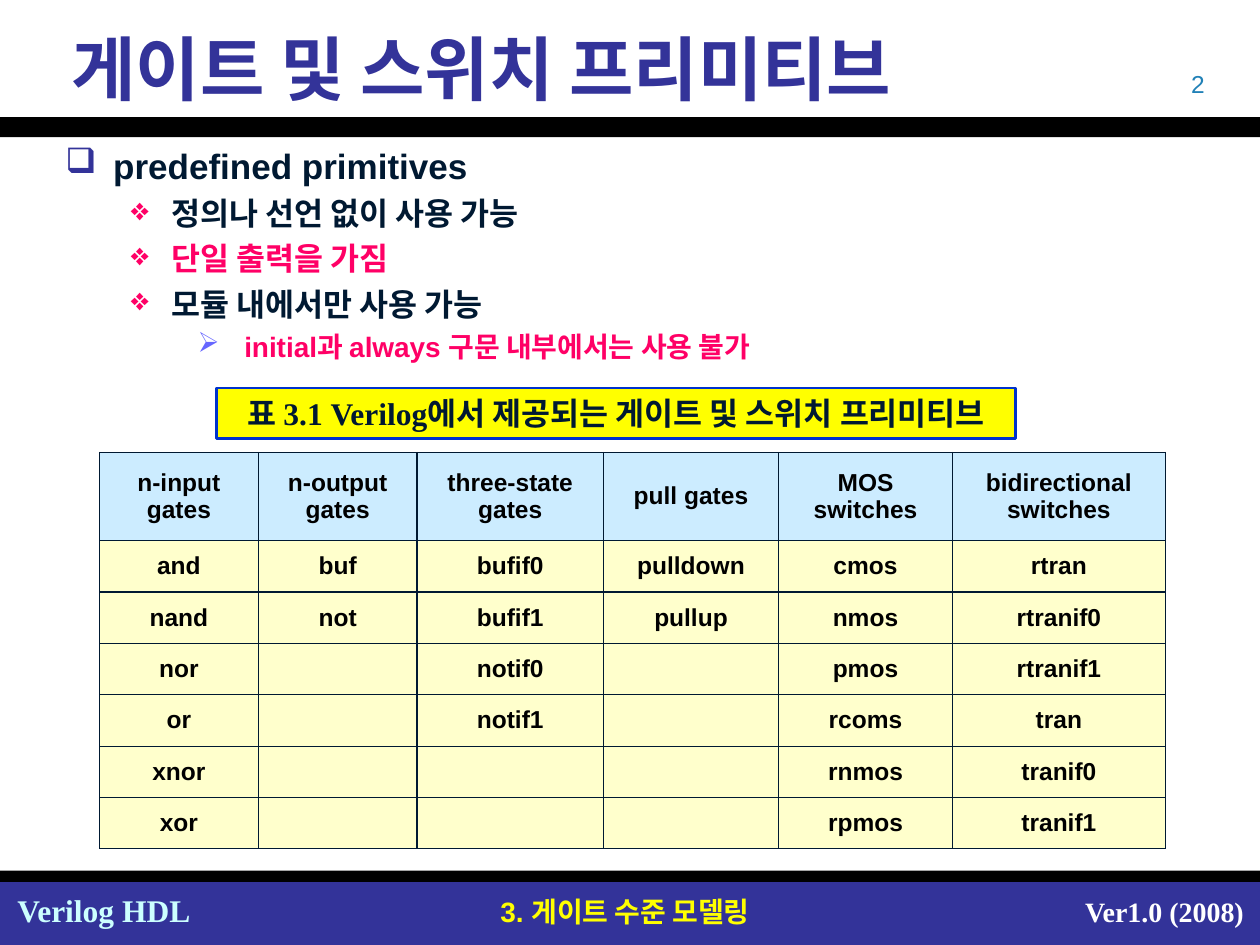
import pptx
import pptx.dml.color
import pptx.enum.shapes
import pptx.enum.text
import pptx.oxml
import pptx.oxml.ns
import pptx.util

# The slide is a grid of 100 columns by 75 rows
WIDTH, HEIGHT = pptx.util.Inches(10), pptx.util.Inches(7.5)
COL, ROW = WIDTH / 100, HEIGHT / 75
SANS, SERIF = "Arial", "Times New Roman"
ALIGN = pptx.enum.text.PP_ALIGN
MIDDLE = pptx.enum.text.MSO_ANCHOR.MIDDLE

COLORS = {
    "navy": "333399", "black": "000000", "white": "FFFFFF", "ink": "001932",
    "pink": "FF0066", "violet": "6666FF", "yellow": "FFFF00", "aqua": "CCFFFF",
    "teal": "2181B7", "edge": "0033CC", "head": "CCECFF", "cream": "FFFFCC",
}

# Bullet styles: mark, mark colour, left margin and hang in columns, size
LEVELS = [
    ("❑", "navy", 3.8, 3.8, 20),
    ("❖", "pink", 8.4, 3.2, 18),
    ("➢", "violet", 14.2, 3.7, 16),
]
POINTS = [
    (0, "predefined primitives", "ink"),
    (1, "정의나 선언 없이 사용 가능", "ink"),
    (1, "단일 출력을 가짐", "pink"),
    (1, "모듈 내에서만 사용 가능", "ink"),
    (2, "initial과 always 구문 내부에서는 사용 불가", "pink"),
]

# One list for each table column: width in grid columns, heading, entries
GATES = [
    (12.6, "n-input gates", ["and", "nand", "nor", "or", "xnor", "xor"]),
    (12.6, "n-output gates", ["buf", "not"]),
    (14.8, "three-state gates", ["bufif0", "bufif1", "notif0", "notif1"]),
    (13.9, "pull gates", ["pulldown", "pullup"]),
    (13.8, "MOS switches", ["cmos", "nmos", "pmos", "rcoms", "rnmos", "rpmos"]),
    (16.9, "bidirectional switches",
     ["rtran", "rtranif0", "rtranif1", "tran", "tranif0", "tranif1"]),
]


def color(name):
    return pptx.dml.color.RGBColor.from_string(COLORS[name])


def place(left, top, width, height):
    return [round(n) for n in (left * COL, top * ROW, width * COL, height * ROW)]


def style(para, size, font, tint, bold=True, align=ALIGN.LEFT):
    para.alignment = align
    for run in para.runs:
        run.font.size = pptx.util.Pt(size)
        run.font.name = font
        run.font.bold = bold
        run.font.color.rgb = color(tint)


def indent(para, margin, hang=0):
    props = para._p.get_or_add_pPr()
    props.set("marL", str(round(margin * COL)))
    props.set("indent", str(round(-hang * COL)))
    return props


def add_bar(slide, area, fill):
    bar = slide.shapes.add_shape(
        pptx.enum.shapes.MSO_SHAPE.RECTANGLE, *place(*area))
    bar.shadow.inherit = False
    bar.fill.solid()
    bar.fill.fore_color.rgb = color(fill)
    bar.line.fill.background()
    return bar


def add_text(slide, area, text, *look, **more):
    box = slide.shapes.add_textbox(*place(*area))
    frame = box.text_frame
    frame.word_wrap = True
    frame.text = text
    style(frame.paragraphs[0], *look, **more)
    return frame


def add_points(slide, area):
    frame = slide.shapes.add_textbox(*place(*area)).text_frame
    frame.word_wrap = True
    for num, (level, text, tint) in enumerate(POINTS):
        mark, hue, margin, hang, size = LEVELS[level]
        para = frame.add_paragraph() if num else frame.paragraphs[0]
        para.text = text
        para.level = level
        para.line_spacing = 1.2
        props = indent(para, margin, hang)
        space = pptx.oxml.ns.nsdecls("a")
        for xml in (
            f'<a:buClr {space}><a:srgbClr val="{COLORS[hue]}"/></a:buClr>',
            f'<a:buChar {space} char="{mark}"/>',
        ):
            props.append(pptx.oxml.parse_xml(xml))
        style(para, size, SANS, tint)


def add_label(slide, area, text):
    label = add_bar(slide, area, "yellow")
    label.line.color.rgb = color("edge")
    label.line.width = pptx.util.Pt(1.5)
    frame = label.text_frame
    frame.word_wrap = False
    frame.vertical_anchor = MIDDLE
    frame.text = text
    style(frame.paragraphs[0], 18, SERIF, "ink", align=ALIGN.CENTER)


def add_edges(cell):
    props = cell._tc.get_or_add_tcPr()
    for num, side in enumerate(("lnL", "lnR", "lnT", "lnB")):
        props.insert(num, pptx.oxml.parse_xml(
            f'<a:{side} {pptx.oxml.ns.nsdecls("a")} w="{pptx.util.Pt(0.75)}">'
            f'<a:solidFill><a:srgbClr val="{COLORS["ink"]}"/></a:solidFill>'
            f'</a:{side}>'))


def add_table(slide, left, top, first, rest):
    count = 1 + max(len(names) for _, _, names in GATES)
    width = sum(gate[0] for gate in GATES)
    height = first + rest * (count - 1)
    table = slide.shapes.add_table(
        count, len(GATES), *place(left, top, width, height)).table
    for num, row in enumerate(table.rows):
        row.height = round((rest if num else first) * ROW)
    for x, (wide, head, names) in enumerate(GATES):
        table.columns[x].width = round(wide * COL)
        texts = [head] + names
        for y in range(count):
            cell = table.cell(y, x)
            cell.fill.solid()
            cell.fill.fore_color.rgb = color("cream" if y else "head")
            cell.vertical_anchor = MIDDLE
            add_edges(cell)
            if y < len(texts):
                cell.text_frame.text = texts[y]
                style(cell.text_frame.paragraphs[0], 14, SANS, "black",
                      align=ALIGN.CENTER)


def main():
    deck = pptx.Presentation()
    deck.slide_width, deck.slide_height = WIDTH, HEIGHT
    slide = deck.slides.add_slide(deck.slide_layouts[6])

    # Footer and rules
    add_bar(slide, (0, 70, 100, 5), "navy")
    add_text(slide, (36.2, 70.5, 26.8, 3.7), "3. 게이트 수준 모델링",
             16, SANS, "yellow", align=ALIGN.CENTER)
    add_bar(slide, (0, 9.3, 100, 1.6), "black")
    add_bar(slide, (0, 69.1, 100, 0.9), "black")
    add_text(slide, (83.9, 70.5, 15.8, 3.7), "Ver1.0 (2008)",
             16, SERIF, "white", align=ALIGN.RIGHT)
    add_text(slide, (0.4, 70.2, 15.8, 4), "Verilog HDL", 18, SERIF, "aqua")

    # Page number and title
    add_text(slide, (73.3, 5, 23.3, 3.3), "2",
             14, SANS, "teal", bold=False, align=ALIGN.RIGHT)
    title = add_text(slide, (1.7, 2.1, 96.7, 6.5), "게이트 및 스위치 프리미티브",
                     40, SERIF, "navy")
    title.vertical_anchor = MIDDLE
    indent(title.paragraphs[0], 3)

    # Points, table and its label
    add_points(slide, (4.2, 10.3, 92.5, 20.8))
    add_table(slide, 7.9, 35.9, 7, 4.08)
    add_label(slide, (17.2, 30.8, 63.4, 4),
              "표 3.1 Verilog에서 제공되는 게이트 및 스위치 프리미티브")

    deck.save("out.pptx")


if __name__ == "__main__":
    main()
